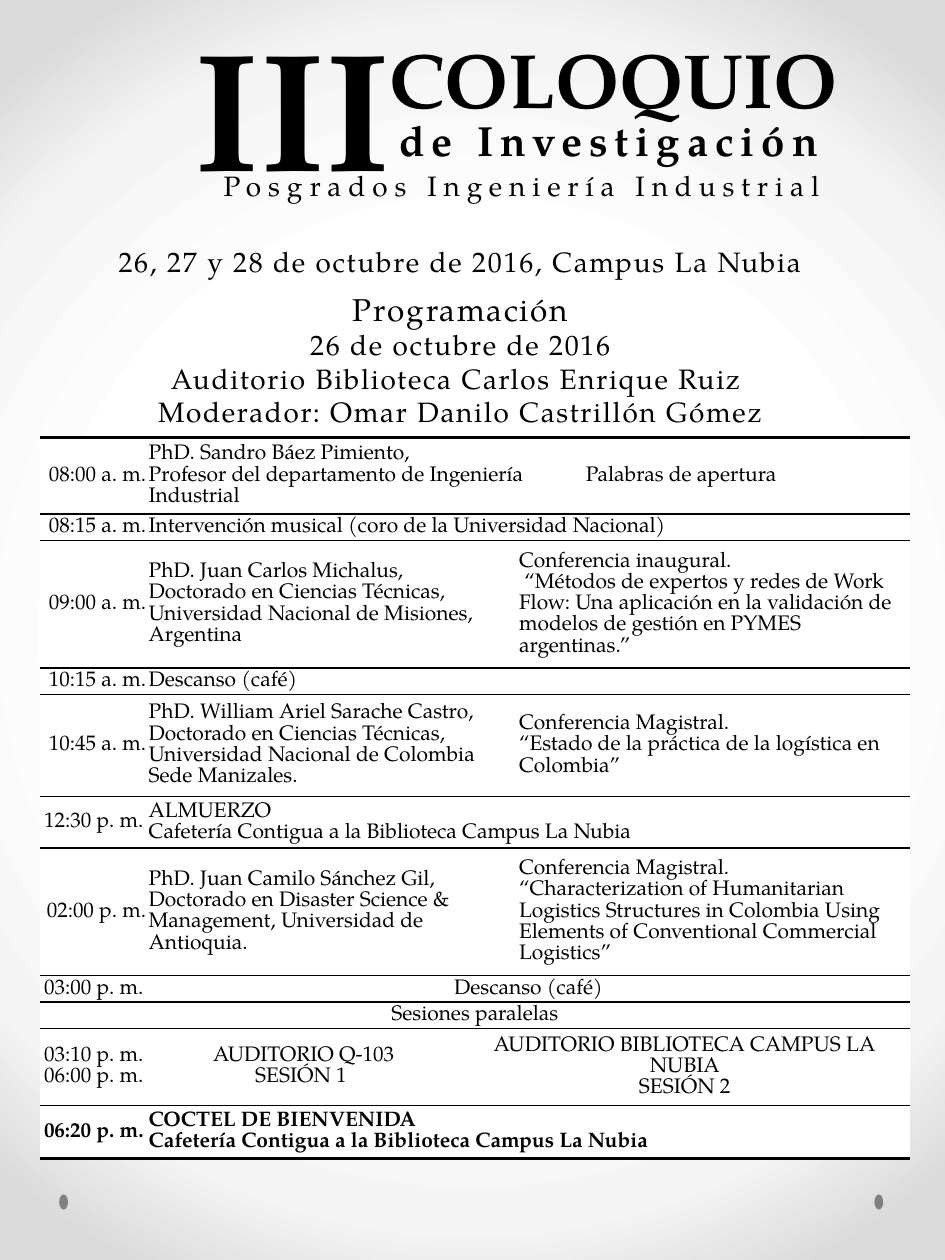
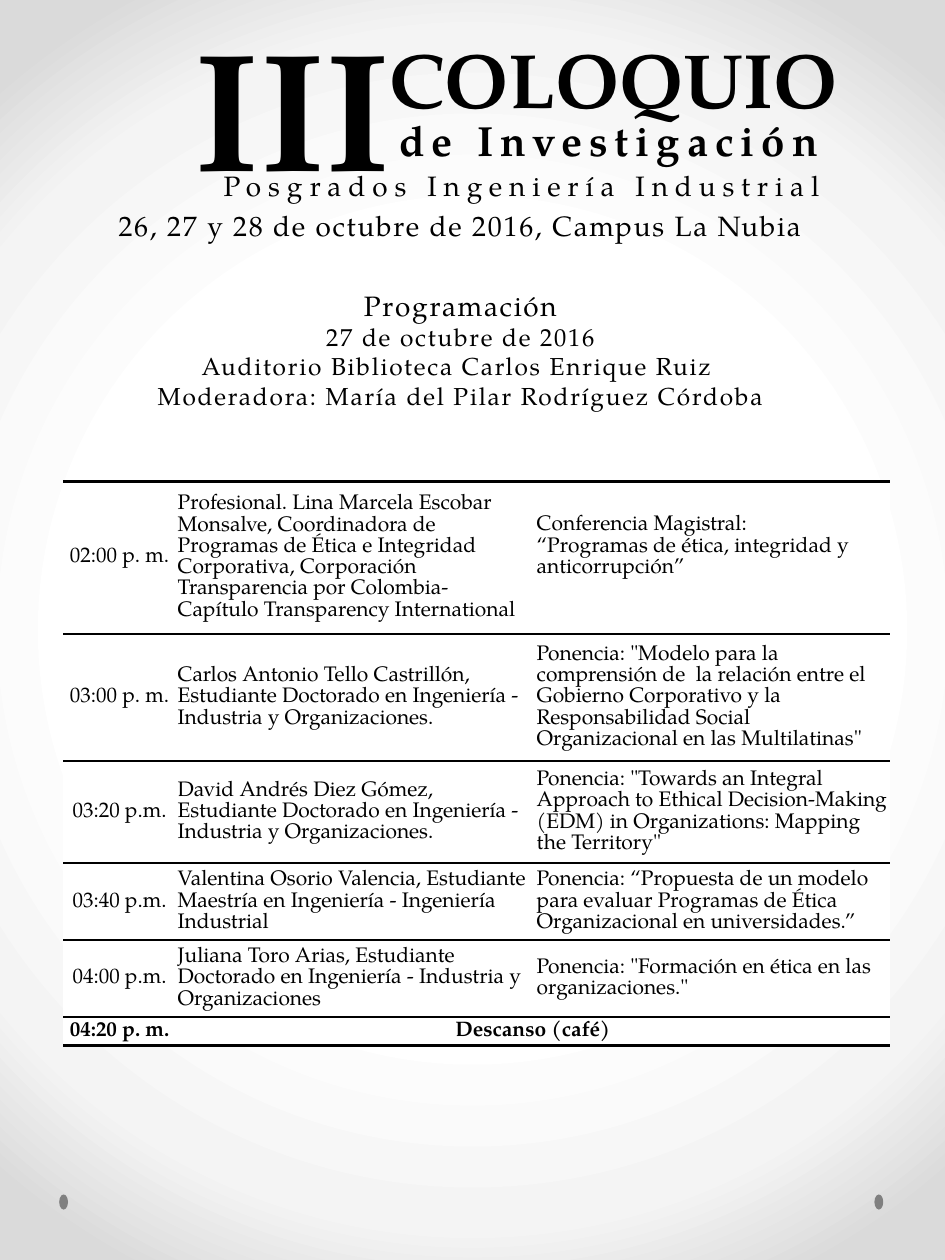
from dataclasses import dataclass

from lxml import etree
from pptx import Presentation
from pptx.dml.color import RGBColor
from pptx.enum.shapes import MSO_SHAPE
from pptx.enum.text import MSO_ANCHOR, PP_ALIGN
from pptx.oxml import parse_xml
from pptx.oxml.ns import qn
from pptx.util import Inches, Pt

LEFT, CENTER, RIGHT = PP_ALIGN.LEFT, PP_ALIGN.CENTER, PP_ALIGN.RIGHT
MIDDLE = MSO_ANCHOR.MIDDLE
ELLIPSE = MSO_SHAPE.OVAL
DRAWING = "http://schemas.openxmlformats.org/drawingml/2006/main"


@dataclass(frozen=True)
class Theme:
    font: str = "TeX Gyre Pagella"
    ink: str = "000000"
    paper: str = "FFFFFF"
    dot: str = "808080"
    glow: tuple = ((50, "FFFFFF"), (76, "F4F4F4"), (92, "DADADA"))
    numeral_size: int = 96
    title_size: int = 44
    subtitle_size: int = 24
    line_size: int = 16
    table_size: int = 12
    thin_rule: int = 1
    thick_rule: int = 2


THEME = Theme()


@dataclass(frozen=True)
class Cell:
    text: str
    align: int = LEFT
    span: int = 1
    bottom: float = 0


def color(value):
    return RGBColor.from_string(value)


def paint_background(master):
    master.background.fill.gradient()
    gradient = master.background._cSld.find(".//" + qn("a:gradFill"))
    stops = "".join(
        f'<a:gs pos="{position * 1000}"><a:srgbClr val="{value}"/></a:gs>'
        for position, value in THEME.glow
    )
    gradient.getparent().replace(gradient, parse_xml(
        f'<a:gradFill xmlns:a="{DRAWING}" rotWithShape="1"><a:gsLst>{stops}</a:gsLst>'
        '<a:path path="circle"><a:fillToRect l="50000" t="50000" r="50000" b="50000"/>'
        '</a:path></a:gradFill>'
    ))


def add_dots(slide):
    for left in (6.94, 0.47):
        dot = slide.shapes.add_shape(
            ELLIPSE, Inches(left), Inches(9.48), Inches(0.07), Inches(0.12))
        dot.shadow.inherit = False
        dot.fill.solid()
        dot.fill.fore_color.rgb = color(THEME.dot)
        dot.line.fill.background()


def format_paragraph(paragraph, size, align=LEFT, bold=False, spacing=0):
    paragraph.alignment = align
    for run in paragraph.runs:
        run.font.name = THEME.font
        run.font.size = Pt(size)
        run.font.bold = bold
        run.font.color.rgb = color(THEME.ink)
        if spacing:
            run._r.get_or_add_rPr().set("spc", str(spacing * 100))


def add_text(shapes, box, lines, sizes, align=CENTER, bold=False, spacing=0):
    shape = shapes.add_textbox(*[Inches(length) for length in box])
    text_frame = shape.text_frame
    text_frame.word_wrap = True
    text_frame.text = "\n".join(lines)
    for paragraph, size in zip(text_frame.paragraphs, sizes):
        format_paragraph(paragraph, size, align, bold, spacing)


def add_masthead(slide):
    shapes = slide.shapes.add_group_shape().shapes
    parts = (
        ((2.44, 0.2, 4.31, 0.84), "COLOQUIO", THEME.title_size, RIGHT, True, 0),
        ((3.07, 0.86, 4.15, 0.5), "de Investigación", THEME.subtitle_size, LEFT, True, 4),
        ((0.84, 1.29, 5.77, 0.4), "Posgrados Ingeniería Industrial",
         THEME.line_size, RIGHT, False, 4),
        ((1.38, -0.02, 1.82, 1.72), "III", THEME.numeral_size, RIGHT, True, 0),
    )
    for box, text, size, align, bold, spacing in parts:
        add_text(shapes, box, [text], [size], align, bold, spacing)


def add_heading(slide, date_top, top, height, lines, first_size):
    add_text(slide.shapes, (0.57, date_top, 6.17, 0.37),
             ["26, 27 y 28 de octubre de 2016, Campus La Nubia"],
             [THEME.line_size], spacing=1)
    sizes = [first_size] + [first_size - 2] * (len(lines) - 1)
    add_text(slide.shapes, (0.25, top, 6.81, height), lines, sizes, spacing=1)


def set_borders(cell, top, bottom):
    properties = cell._tc.get_or_add_tcPr()
    widths = (("lnL", 0), ("lnR", 0), ("lnT", top), ("lnB", bottom))
    for index, (tag, width) in enumerate(widths):
        line = etree.Element(qn(f"a:{tag}"), w=str(Pt(width)))
        if width:
            fill = etree.SubElement(line, qn("a:solidFill"))
            etree.SubElement(fill, qn("a:srgbClr"), val=THEME.ink)
        else:
            etree.SubElement(line, qn("a:noFill"))
        properties.insert(index, line)


def fill_cell(cell, content, bold):
    cell.vertical_anchor = MIDDLE
    cell.margin_left = cell.margin_right = cell.margin_top = Inches(0.01)
    cell.margin_bottom = Inches(content.bottom)
    cell.text_frame.text = content.text
    for paragraph in cell.text_frame.paragraphs:
        format_paragraph(paragraph, THEME.table_size, content.align, bold)


def add_schedule(slide, left, top, widths, rows):
    heights = [height for height, _ in rows]
    table = slide.shapes.add_table(
        len(rows), len(widths), Inches(left), Inches(top),
        Inches(sum(widths)), Inches(sum(heights))).table
    table.first_row = table.horz_banding = False
    for column, width in zip(table.columns, widths):
        column.width = Inches(width)
    last = len(rows) - 1
    for index, (height, contents) in enumerate(rows):
        table.rows[index].height = Inches(height)
        for cell in table.rows[index].cells:
            cell.fill.solid()
            cell.fill.fore_color.rgb = color(THEME.paper)
            set_borders(cell,
                        THEME.thin_rule if index else THEME.thick_rule,
                        THEME.thick_rule if index == last else THEME.thin_rule)
        position = 0
        for content in contents:
            cell = table.cell(index, position)
            end = position + content.span
            if content.span > 1:
                cell.merge(table.cell(index, end - 1))
            fill_cell(cell, content, bold=index == last)
            position = end


def talk(time, speaker, subject, time_align=CENTER, span=1, bottom=0):
    return [Cell(time, time_align), Cell(speaker, span=span),
            Cell(subject, span=span, bottom=bottom)]


def notice(time, text, span, time_align=CENTER, align=LEFT):
    return [Cell(time, time_align), Cell(text, align, span)]


FIRST_DAY = [
    (0.61, [Cell("08:00 a. m.", RIGHT),
            Cell("PhD. Sandro Báez Pimiento,\n"
                 "Profesor del departamento de Ingeniería Industrial", span=3),
            Cell("Palabras de apertura")]),
    (0.21, notice("08:15 a. m.", "Intervención musical (coro de la Universidad Nacional)",
                  4, RIGHT)),
    (1.01, talk("09:00 a. m.",
                "PhD. Juan Carlos Michalus,\nDoctorado en Ciencias Técnicas, "
                "Universidad Nacional de Misiones, Argentina",
                "Conferencia inaugural.\n “Métodos de expertos y redes de Work Flow: "
                "Una aplicación en la validación de modelos de gestión en PYMES argentinas.”",
                RIGHT, 2)),
    (0.21, notice("10:15 a. m.", "Descanso (café)", 4, RIGHT)),
    (0.81, talk("10:45 a. m.",
                "PhD. William Ariel Sarache Castro, Doctorado en Ciencias Técnicas, "
                "Universidad Nacional de Colombia Sede Manizales.",
                "Conferencia Magistral.\n"
                "“Estado de la práctica de la logística en Colombia”", RIGHT, 2)),
    (0.41, notice("12:30 p. m.",
                  "ALMUERZO\nCafetería Contigua a la Biblioteca Campus La Nubia", 4)),
    (1.01, talk("02:00 p. m.",
                "PhD. Juan Camilo Sánchez Gil, Doctorado en Disaster Science & "
                "Management, Universidad de Antioquia.",
                "Conferencia Magistral.\n“Characterization of Humanitarian Logistics "
                "Structures in Colombia Using Elements of Conventional Commercial Logistics”",
                RIGHT, 2)),
    (0.21, notice("03:00 p. m.", "Descanso (café)", 4, align=CENTER)),
    (0.21, [Cell("Sesiones paralelas", CENTER, 5)]),
    (0.61, [Cell("03:10 p. m.\n06:00 p. m.", CENTER),
            Cell("AUDITORIO Q-103\nSESIÓN 1 ", CENTER),
            Cell("AUDITORIO BIBLIOTECA CAMPUS LA NUBIA\nSESIÓN 2", CENTER, 3)]),
    (0.42, notice("06:20 p. m.",
                  "COCTEL DE BIENVENIDA\n"
                  "Cafetería Contigua a la Biblioteca Campus La Nubia", 4)),
]

SECOND_DAY = [
    (1.21, talk("02:00 p. m.",
                "Profesional. Lina Marcela Escobar Monsalve, Coordinadora de Programas "
                "de Ética e Integridad Corporativa, Corporación Transparencia por "
                "Colombia- Capítulo Transparency International",
                "Conferencia Magistral:\n“Programas de ética, integridad y anticorrupción”",
                bottom=0.17)),
    (1.01, talk("03:00 p. m.",
                "Carlos Antonio Tello Castrillón, Estudiante Doctorado en Ingeniería - "
                "Industria y Organizaciones.",
                'Ponencia: "Modelo para la comprensión de  la relación entre el Gobierno '
                'Corporativo y la Responsabilidad Social Organizacional en las '
                'Multilatinas"')),
    (0.81, talk("03:20 p.m.",
                "David Andrés Diez Gómez, Estudiante Doctorado en Ingeniería - "
                "Industria y Organizaciones.",
                'Ponencia: "Towards an Integral Approach to Ethical Decision-Making (EDM) '
                'in Organizations: Mapping the Territory"')),
    (0.61, talk("03:40 p.m.",
                "Valentina Osorio Valencia, Estudiante Maestría en Ingeniería - "
                "Ingeniería Industrial",
                "Ponencia: “Propuesta de un modelo para evaluar Programas de Ética "
                "Organizacional en universidades.”")),
    (0.61, talk("04:00 p.m.",
                "Juliana Toro Arias, Estudiante Doctorado en Ingeniería - Industria y "
                "Organizaciones",
                'Ponencia: "Formación en ética en las organizaciones."')),
    (0.23, notice("04:20 p. m.", "Descanso (café)", 2, align=CENTER)),
]


def add_day(presentation):
    slide = presentation.slides.add_slide(presentation.slide_layouts[6])
    add_dots(slide)
    add_masthead(slide)
    return slide


def main():
    presentation = Presentation()
    presentation.slide_width = Inches(7.5)
    presentation.slide_height = Inches(10)
    paint_background(presentation.slide_master)

    slide = add_day(presentation)
    add_heading(slide, 1.89, 2.25, 1.54,
                ["Programación", "26 de octubre de 2016",
                 "Auditorio Biblioteca Carlos Enrique Ruiz ",
                 "Moderador: Omar Danilo Castrillón Gómez"], 18)
    add_schedule(slide, 0.32, 3.47, (0.85, 2.48, 0.46, 0.53, 2.58), FIRST_DAY)

    slide = add_day(presentation)
    add_heading(slide, 1.61, 2.24, 1.4,
                ["Programación", "27 de octubre de 2016",
                 "Auditorio Biblioteca Carlos Enrique Ruiz ",
                 "Moderadora: María del Pilar Rodríguez Córdoba"], 16)
    add_schedule(slide, 0.5, 3.82, (0.9, 2.85, 2.81), SECOND_DAY)

    presentation.save("out.pptx")


if __name__ == "__main__":
    main()
